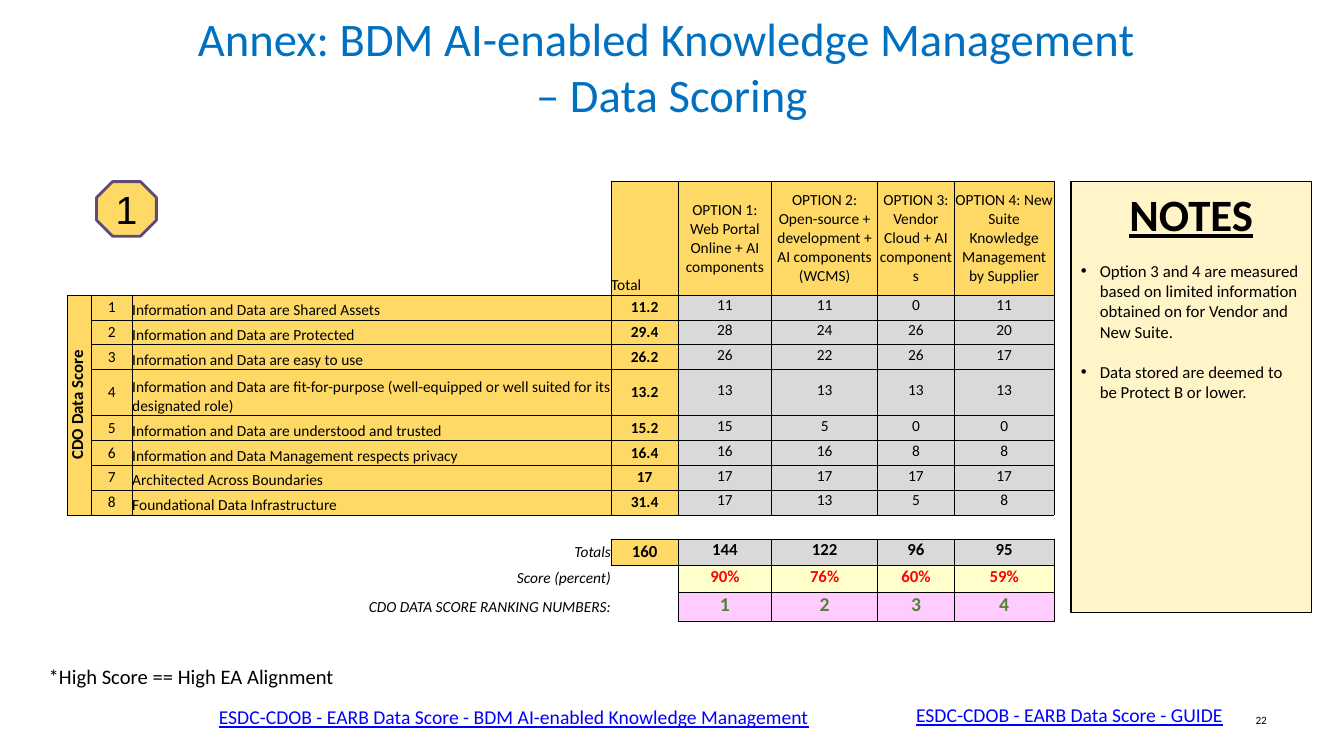
from lxml import etree
from pptx import Presentation
from pptx.dml.color import RGBColor
from pptx.enum.shapes import MSO_SHAPE as Preset
from pptx.enum.text import MSO_ANCHOR as Anchor, PP_ALIGN as Align
from pptx.oxml.ns import qn
from pptx.util import Pt

PX = 9525
GOLD, GREY, CREAM, PINK = "FFD966", "D9D9D9", "FFFFCC", "FFCCFF"
BLACK, BLUE, LINK, RED, GREEN = "000000", "0070C0", "0000FF", "FF0000", "548235"

COLUMNS = [23, 39, 456, 64, 89, 101, 73, 95]
ROWS = [108] + [23] * 3 + [44] + [23] * 7 + [25]
OPTIONS = [
    "OPTION 1: Web Portal Online + AI components",
    "OPTION 2: Open-source + development + AI components (WCMS)",
    "OPTION 3: Vendor Cloud + AI components",
    "OPTION 4: New Suite Knowledge Management by Supplier",
]
CRITERIA = [
    ("Information and Data are Shared Assets", "11.2", [11, 11, 0, 11]),
    ("Information and Data are Protected", "29.4", [28, 24, 26, 20]),
    ("Information and Data are easy to use", "26.2", [26, 22, 26, 17]),
    ("Information and Data are fit-for-purpose (well-equipped or well suited for its designated role)",
     "13.2", [13, 13, 13, 13]),
    ("Information and Data are understood and trusted", "15.2", [15, 5, 0, 0]),
    ("Information and Data Management respects privacy", "16.4", [16, 16, 8, 8]),
    ("Architected Across Boundaries", "17", [17, 17, 17, 17]),
    ("Foundational Data Infrastructure", "31.4", [17, 13, 5, 8]),
]
SUMMARY = [
    ("Totals", "160", ["144", "122", "96", "95"], GREY, BLACK, 12),
    ("Score (percent)", "", ["90%", "76%", "60%", "59%"], CREAM, RED, 12),
    ("CDO DATA SCORE RANKING NUMBERS:", "", ["1", "2", "3", "4"], PINK, GREEN, 14),
]
NOTES = [
    "Option 3 and 4 are measured based on limited information obtained on for Vendor and New Suite.",
    "Data stored are deemed to be Protect B or lower.",
]


def color(value):
    """Turn a hex string into a colour."""
    return RGBColor.from_string(value)


def write(para, text, size=11, ink=BLACK, font="Calibri", align=Align.LEFT,
          bold=False, italic=False, underline=False, before=0):
    """Write formatted text into a paragraph."""
    para.text = text
    para.alignment = align
    if before:
        para.space_before = Pt(before)
    for span in para.runs:
        span.font.size, span.font.name = Pt(size), font
        span.font.bold, span.font.italic, span.font.underline = bold, italic, underline
        span.font.color.rgb = color(ink)


def add_label(page, box, text, anchor=Anchor.TOP, **style):
    """Place one wrapped text box."""
    frame = page.shapes.add_textbox(*[n * PX for n in box]).text_frame
    frame.word_wrap, frame.vertical_anchor = True, anchor
    write(frame.paragraphs[0], text, **style)


def add_panel(page, preset, box, fill, line, weight):
    """Place a filled, outlined shape and return its text frame."""
    shape = page.shapes.add_shape(preset, *[n * PX for n in box])
    shape.shadow.inherit = False
    shape.fill.solid()
    shape.fill.fore_color.rgb = color(fill)
    shape.line.color.rgb = color(line)
    shape.line.width = Pt(weight)
    shape.text_frame.word_wrap = True
    return shape.text_frame


def add_notes(page, box):
    """Build the notes panel with its heading and bullets."""
    frame = add_panel(page, Preset.RECTANGLE, box, "FFF5C9", BLACK, 0.75)
    frame.vertical_anchor = Anchor.TOP
    write(frame.paragraphs[0], "NOTES", size=32, bold=True, underline=True, align=Align.CENTER)
    for note in NOTES:
        para = frame.add_paragraph()
        write(para, note, size=12, before=14.6)
        props = para._p.get_or_add_pPr()
        props.set("marL", str(18 * PX))
        props.set("indent", str(-18 * PX))
        etree.SubElement(props, qn("a:buFont")).set("typeface", "Arial")
        etree.SubElement(props, qn("a:buChar")).set("char", "•")


def add_badge(page, box, text):
    """Build the numbered octagon."""
    frame = add_panel(page, Preset.OCTAGON, box, GOLD, "5F4A78", 2)
    frame.vertical_anchor = Anchor.MIDDLE
    write(frame.paragraphs[0], text, size=28, font="Arial", align=Align.CENTER)


def score_cells():
    """Map each used table position to its text, fill and style."""
    center = {"align": Align.CENTER}
    cells = {(0, 3): ("Total", GOLD, {"anchor": Anchor.BOTTOM})}
    for col, option in enumerate(OPTIONS, 4):
        cells[0, col] = (option, GOLD, center)
    for row, (name, total, scores) in enumerate(CRITERIA, 1):
        title = "CDO Data Score" if row == 1 else ""
        cells[row, 0] = (title, GOLD, {"size": 12, "bold": True, **center})
        cells[row, 1] = (str(row), GOLD, center)
        cells[row, 2] = (name, GOLD, {"anchor": Anchor.BOTTOM})
        cells[row, 3] = (total, GOLD, {"bold": True, **center})
        for col, score in enumerate(scores, 4):
            cells[row, col] = (str(score), GREY, {"inset": True, **center})
    for row, (name, total, values, fill, ink, size) in enumerate(SUMMARY, 10):
        cells[row, 2] = (name, None, {"italic": True, "align": Align.RIGHT})
        if total:
            cells[row, 3] = (total, GOLD, {"size": 12, "bold": True, **center})
        for col, value in enumerate(values, 4):
            cells[row, col] = (value, fill, {"size": size, "ink": ink, "bold": True,
                                             "inset": True, **center})
    return cells


def draw_borders(cell, row, col, filled):
    """Rule every side that touches a filled cell."""
    sides = {"lnL": (row, col - 1), "lnR": (row, col + 1),
             "lnT": (row - 1, col), "lnB": (row + 1, col)}
    for tag, neighbour in sides.items():
        line = etree.SubElement(cell._tc.get_or_add_tcPr(), qn("a:" + tag))
        line.set("w", str(Pt(0.5)))
        if (row, col) in filled or neighbour in filled:
            paint = etree.SubElement(line, qn("a:solidFill"))
            etree.SubElement(paint, qn("a:srgbClr")).set("val", BLACK)
        else:
            etree.SubElement(line, qn("a:noFill"))


def fill_cell(cell, text, fill, anchor=Anchor.MIDDLE, inset=False, **style):
    """Set the text, margins and fill of one cell."""
    margins = (1, 1, 1, 5) if inset else (0, 0, 0, 0)
    cell.margin_left, cell.margin_top, cell.margin_right, cell.margin_bottom = [n * PX for n in margins]
    cell.vertical_anchor = anchor
    para = cell.text_frame.paragraphs[0]
    write(para, text, **style)
    if not text:
        etree.SubElement(para._p, qn("a:endParaRPr")).set("sz", "1100")
    if fill:
        cell.fill.solid()
        cell.fill.fore_color.rgb = color(fill)
    else:
        cell.fill.background()


def add_scores(page, left, top):
    """Build the scoring table."""
    box = (left, top, sum(COLUMNS), sum(ROWS))
    table = page.shapes.add_table(len(ROWS), len(COLUMNS), *[n * PX for n in box]).table
    table.first_row = table.horz_banding = False
    for column, width in zip(table.columns, COLUMNS):
        column.width = width * PX
    for line, height in zip(table.rows, ROWS):
        line.height = height * PX
    cells = score_cells()
    filled = {spot for spot, (_, fill, _) in cells.items() if fill}
    for row in range(len(ROWS)):
        for col in range(len(COLUMNS)):
            text, fill, style = cells.get((row, col), ("", None, {}))
            cell = table.cell(row, col)
            draw_borders(cell, row, col, filled)
            fill_cell(cell, text, fill, **style)
    table.cell(1, 0).merge(table.cell(len(CRITERIA), 0))
    table.cell(1, 0)._tc.get_or_add_tcPr().set("vert", "vert270")


def add_footer(page, left, top):
    """Place the footnote, the two references and the page number."""
    add_label(page, (left, top, 445, 34), "*High Score == High EA Alignment", size=14.7)
    references = [
        ((left + 826, top + 37, 353, 33), "ESDC-CDOB - EARB Data Score - GUIDE"),
        ((left + 162, top + 39, 597, 33),
         "ESDC-CDOB - EARB Data Score - BDM AI-enabled Knowledge Management"),
    ]
    for box, text in references:
        add_label(page, box, text, size=14, ink=LINK, underline=True)
    add_label(page, (left + 881, top + 39, 298, 38), "22", anchor=Anchor.MIDDLE,
              size=8, align=Align.RIGHT)


def main():
    """Build and save the scoring slide."""
    deck = Presentation()
    deck.slide_width, deck.slide_height = 1280 * PX, 720 * PX
    page = deck.slides.add_slide(deck.slide_layouts[6])
    add_label(page, (64, 14, 1152, 97), "Annex: BDM AI-enabled Knowledge Management \v– Data Scoring",
              anchor=Anchor.MIDDLE, size=33.3, ink=BLUE, align=Align.CENTER)
    add_notes(page, (1020, 173, 229, 410))
    add_footer(page, 37, 628)
    add_scores(page, 64, 173)
    add_badge(page, (92, 173, 57, 52), "1")
    deck.save("out.pptx")


if __name__ == "__main__":
    main()
